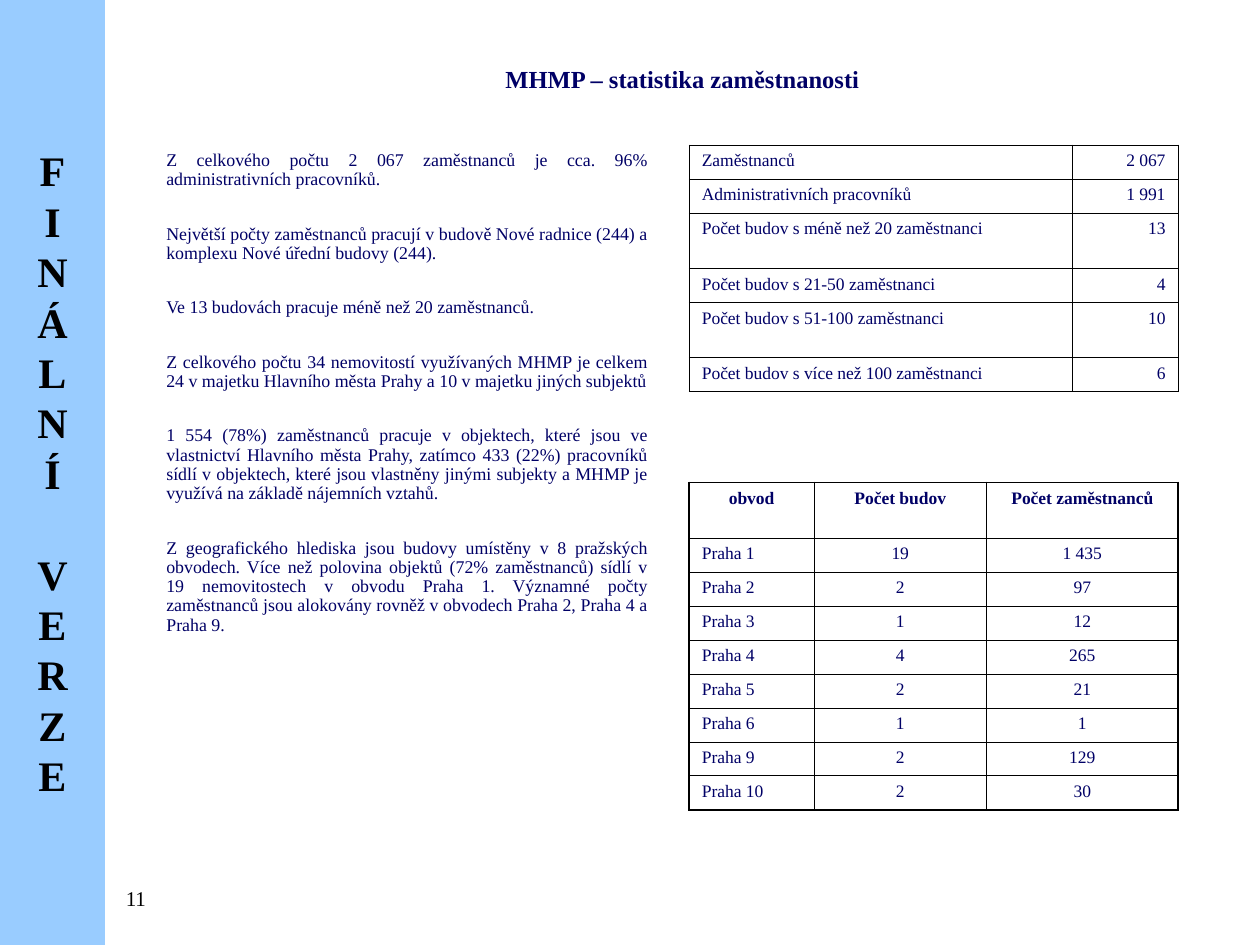
from lxml import etree
from pptx import Presentation
from pptx.dml.color import RGBColor
from pptx.enum.shapes import MSO_SHAPE
from pptx.enum.text import MSO_ANCHOR, MSO_AUTO_SIZE, PP_ALIGN
from pptx.oxml.ns import qn
from pptx.util import Pt

LEFT, CENTER, RIGHT, JUSTIFY = PP_ALIGN.LEFT, PP_ALIGN.CENTER, PP_ALIGN.RIGHT, PP_ALIGN.JUSTIFY
TOP, MIDDLE = MSO_ANCHOR.TOP, MSO_ANCHOR.MIDDLE
NO_AUTOFIT = MSO_AUTO_SIZE.NONE
RECTANGLE = MSO_SHAPE.RECTANGLE

FONT = "Times New Roman"
NAVY, BLACK, LIGHT_BLUE = "000066", "000000", "99CCFF"
THIN, THICK = 0.45, 1.08
ROW, TALL_ROW = 19.44, 31.68
SIDEBAR_WIDTH = 60
SIDEBAR_LINE = 28.8

BODY_FORMAT = {"alignment": JUSTIFY, "line_spacing": 0.9, "space_before": Pt(0), "space_after": Pt(20)}
BODY = [
    "Z celkového počtu 2 067 zaměstnanců je cca. 96% administrativních pracovníků.",
    "Největší počty zaměstnanců pracují v budově Nové radnice (244) a komplexu Nové úřední budovy (244).",
    "Ve 13 budovách pracuje méně než 20 zaměstnanců.",
    "Z celkového počtu 34 nemovitostí využívaných MHMP je celkem 24 v majetku Hlavního města Prahy "
    "a 10 v majetku jiných subjektů",
    "1 554 (78%) zaměstnanců pracuje v objektech, které jsou ve vlastnictví Hlavního města Prahy, "
    "zatímco 433 (22%) pracovníků sídlí v objektech, které jsou vlastněny jinými subjekty a MHMP je "
    "využívá na základě nájemních vztahů.",
    "Z geografického hlediska jsou budovy umístěny v 8 pražských obvodech. Více než polovina objektů "
    "(72% zaměstnanců) sídlí v 19 nemovitostech v obvodu Praha 1. Významné počty zaměstnanců jsou "
    "alokovány rovněž v obvodech Praha 2, Praha 4 a Praha 9.",
]
BUILDINGS = [
    ("Zaměstnanců", "2 067"),
    ("Administrativních pracovníků", "1 991"),
    ("Počet budov s méně než 20 zaměstnanci", "13"),
    ("Počet budov s 21-50 zaměstnanci", "4"),
    ("Počet budov s 51-100 zaměstnanci", "10"),
    ("Počet budov s více než 100 zaměstnanci", "6"),
]
DISTRICTS = [
    ("obvod", "Počet budov", "Počet zaměstnanců"),
    ("Praha 1", "19", "1 435"),
    ("Praha 2", "2", "97"),
    ("Praha 3", "1", "12"),
    ("Praha 4", "4", "265"),
    ("Praha 5", "2", "21"),
    ("Praha 6", "1", "1"),
    ("Praha 9", "2", "129"),
    ("Praha 10", "2", "30"),
]


def color(value):
    return RGBColor.from_string(value)


def set_attributes(target, values):
    for name, value in values.items():
        setattr(target, name, value)


def place(shape, left, top, width, height):
    set_attributes(shape, {"left": Pt(left), "top": Pt(top), "width": Pt(width), "height": Pt(height)})


def write_paragraph(paragraph, text, size, text_color, bold=False, **layout):
    run = paragraph.add_run()
    run.text = text
    set_attributes(run.font, {"name": FONT, "size": Pt(size), "bold": bold})
    run.font.color.rgb = color(text_color)
    set_attributes(paragraph, layout)


def format_frame(frame, anchor):
    set_attributes(frame, {
        "word_wrap": True, "auto_size": NO_AUTOFIT, "vertical_anchor": anchor,
        "margin_left": Pt(7.2), "margin_right": Pt(7.2), "margin_top": Pt(3.6), "margin_bottom": Pt(3.6),
    })


def paragraphs_for(frame, texts):
    for index, text in enumerate(texts):
        yield (frame.add_paragraph() if index else frame.paragraphs[0]), text


def add_sidebar(slide, words, height):
    shape = slide.shapes.add_shape(RECTANGLE, 0, 0, Pt(SIDEBAR_WIDTH), Pt(height))
    shape.shadow.inherit = False
    shape.fill.solid()
    shape.fill.fore_color.rgb = color(LIGHT_BLUE)
    shape.line.fill.background()
    format_frame(shape.text_frame, MIDDLE)
    letters = [(letter, bool(number) and not index)
               for number, word in enumerate(words) for index, letter in enumerate(word)]
    for paragraph, (letter, starts_word) in paragraphs_for(shape.text_frame, letters):
        gap = SIDEBAR_LINE if starts_word else 0
        write_paragraph(paragraph, letter, 24, BLACK, True, alignment=CENTER, space_before=Pt(gap))


def fill_title(shape, text):
    place(shape, SIDEBAR_WIDTH, 0, 660, 90)
    format_frame(shape.text_frame, MIDDLE)
    write_paragraph(shape.text_frame.paragraphs[0], text, 14, NAVY, True, alignment=CENTER)


def fill_body(shape, texts):
    place(shape, 87.84, 82.8, 289.44, 368.64)
    format_frame(shape.text_frame, TOP)
    for paragraph, text in paragraphs_for(shape.text_frame, texts):
        write_paragraph(paragraph, text, 10.2, NAVY, **BODY_FORMAT)
        properties = paragraph._p.get_or_add_pPr()
        properties.set("marL", "0")
        properties.set("indent", "0")
        etree.SubElement(properties, qn("a:buNone"))


def set_borders(cell, widths):
    properties = cell._tc.get_or_add_tcPr()
    for side, width in widths.items():
        line = etree.SubElement(properties, qn(f"a:ln{side}"), w=str(int(Pt(width))))
        fill = etree.SubElement(line, qn("a:solidFill"))
        etree.SubElement(fill, qn("a:srgbClr"), val=BLACK)


def add_grid(slide, top, rows, widths, heights, alignments, outer, header=False):
    frame = slide.shapes.add_table(
        len(rows), len(widths), Pt(393.84), Pt(top), Pt(sum(widths)), Pt(sum(heights)))
    table = frame.table
    set_attributes(table, {"first_row": header, "horz_banding": False})
    for column, width in zip(table.columns, widths):
        column.width = Pt(width)
    last_row, last_column = len(rows) - 1, len(widths) - 1
    for row_index, (row, height) in enumerate(zip(rows, heights)):
        table.rows[row_index].height = Pt(height)
        is_header = header and row_index == 0
        for column_index, text in enumerate(row):
            cell = table.cell(row_index, column_index)
            set_borders(cell, {
                "L": outer if column_index == 0 else THIN,
                "R": outer if column_index == last_column else THIN,
                "T": outer if row_index == 0 else THIN,
                "B": outer if row_index == last_row else THIN,
            })
            cell.fill.background()
            alignment = CENTER if is_header else alignments[column_index]
            write_paragraph(cell.text_frame.paragraphs[0], text, 10, NAVY, is_header,
                            alignment=alignment, space_before=Pt(3.7))


def add_page_number(slide, number):
    box = slide.shapes.add_textbox(Pt(64.8), Pt(502.56), Pt(147.6), Pt(24.48))
    format_frame(box.text_frame, TOP)
    write_paragraph(box.text_frame.paragraphs[0], number, 12, BLACK)


def main():
    presentation = Presentation()
    set_attributes(presentation, {"slide_width": Pt(720), "slide_height": Pt(540)})
    slide = presentation.slides.add_slide(presentation.slide_layouts[1])
    add_sidebar(slide, ["FINÁLNÍ", "VERZE"], 540)
    fill_title(slide.shapes.title, "MHMP – statistika zaměstnanosti")
    fill_body(slide.placeholders[1], BODY)
    add_grid(slide, 82.8, BUILDINGS, [218.88, 60.48],
             [ROW, ROW, TALL_ROW, ROW, TALL_ROW, ROW], [LEFT, RIGHT], THIN)
    add_grid(slide, 275.76, DISTRICTS, [71.28, 98.64, 109.44],
             [TALL_ROW] + [ROW] * 8, [LEFT, CENTER, CENTER], THICK, header=True)
    add_page_number(slide, "11")
    presentation.save("out.pptx")


if __name__ == "__main__":
    main()
